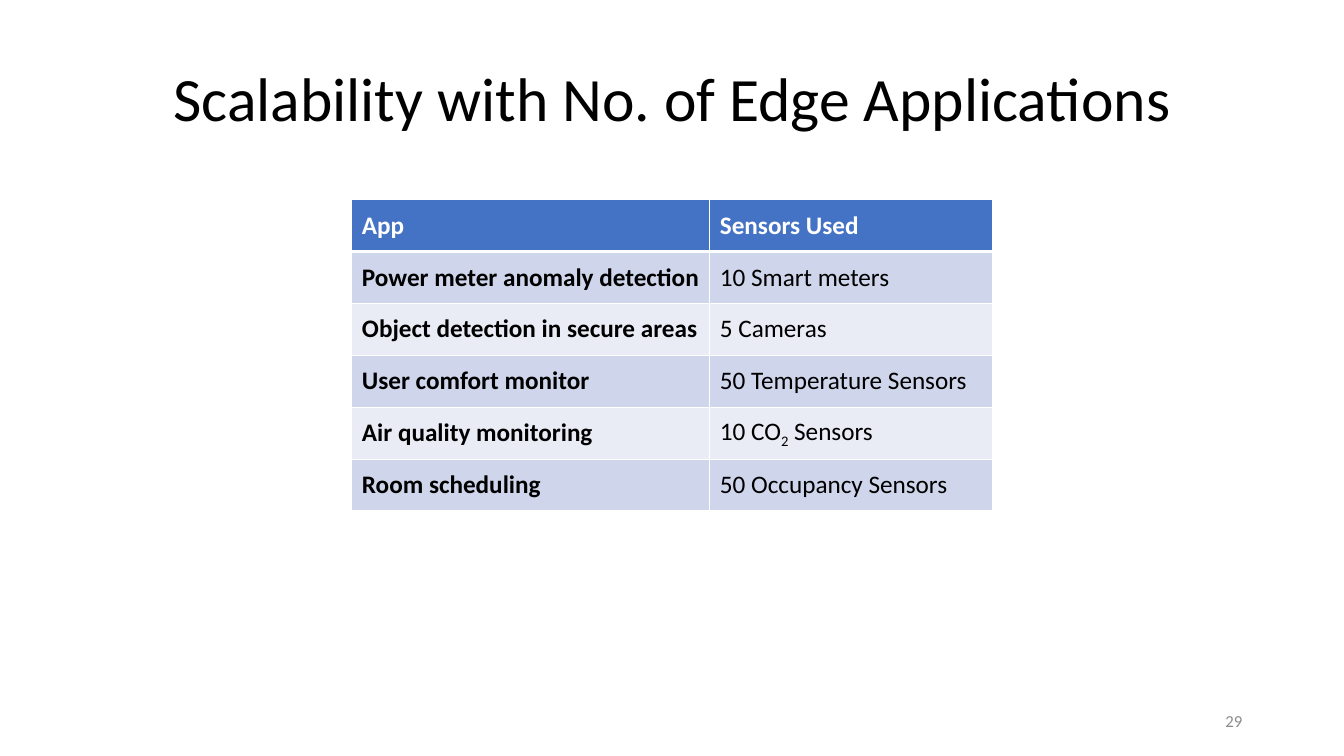
import pptx
import pptx.util
import pptx.dml.color
import pptx.enum.text
import pptx.oxml
import pptx.oxml.ns

Inches = pptx.util.Inches
Pt = pptx.util.Pt
RGBColor = pptx.dml.color.RGBColor
PP_ALIGN = pptx.enum.text.PP_ALIGN
MSO_ANCHOR = pptx.enum.text.MSO_ANCHOR

FONT = "Calibri"
BLACK = RGBColor(0x00, 0x00, 0x00)
WHITE = RGBColor(0xFF, 0xFF, 0xFF)
GRAY = RGBColor(0x8C, 0x8C, 0x8C)
HEADER_BLUE = RGBColor(0x44, 0x72, 0xC4)
BAND_DARK = RGBColor(0xCF, 0xD5, 0xEA)
BAND_LIGHT = RGBColor(0xE9, 0xEB, 0xF5)

COLUMN_WIDTHS = [3.55, 2.8]
ROW_HEIGHT = 0.515
ROWS = [
    (["App"], ["Sensors Used"]),
    (["Power meter anomaly detection"], ["10 Smart meters"]),
    (["Object detection in secure areas"], ["5 Cameras"]),
    (["User comfort monitor"], ["50 Temperature Sensors"]),
    (["Air quality monitoring"], ["10 CO", "2", " Sensors"]),
    (["Room scheduling"], ["50 Occupancy Sensors"]),
]


def add_run(p, text, size, color, bold=False):
    r = p.add_run()
    r.text = text
    r.font.name = FONT
    r.font.size = Pt(size)
    r.font.bold = bold
    r.font.color.rgb = color
    return r


def add_title(slide, text):
    sp = slide.shapes.title
    sp.left, sp.top = Inches(0.92), Inches(0.28)
    sp.width, sp.height = Inches(11.5), Inches(1.45)
    tf = sp.text_frame
    tf.vertical_anchor = MSO_ANCHOR.MIDDLE
    p = tf.paragraphs[0]
    p.alignment = PP_ALIGN.CENTER
    p.line_spacing = 0.9
    add_run(p, text, 44, BLACK)


def set_border(cell, side, width):
    ln = pptx.oxml.parse_xml(
        f'<a:ln{side} {pptx.oxml.ns.nsdecls("a")} w="{Pt(width)}">'
        f'<a:solidFill><a:srgbClr val="{WHITE}"/></a:solidFill></a:ln{side}>'
    )
    cell._tc.get_or_add_tcPr().append(ln)


def format_cell(cell, row, col, texts):
    header = row == 0
    widths = {"L": 1, "R": 1, "T": 3 if row == 1 else 1, "B": 3 if header else 1}
    for side, width in widths.items():
        set_border(cell, side, width)
    cell.fill.solid()
    band = BAND_DARK if row % 2 else BAND_LIGHT
    cell.fill.fore_color.rgb = HEADER_BLUE if header else band
    cell.vertical_anchor = MSO_ANCHOR.MIDDLE
    p = cell.text_frame.paragraphs[0]
    for i, text in enumerate(texts):
        r = add_run(p, text, 18, WHITE if header else BLACK, header or col == 0)
        if i == 1:
            r.font._element.set("baseline", "-25000")


def add_sensor_table(slide):
    table = slide.shapes.add_table(
        len(ROWS), len(COLUMN_WIDTHS), Inches(3.49), Inches(1.98),
        Inches(sum(COLUMN_WIDTHS)), Inches(ROW_HEIGHT * len(ROWS)),
    ).table
    for col, width in enumerate(COLUMN_WIDTHS):
        table.columns[col].width = Inches(width)
    for row, cells in enumerate(ROWS):
        table.rows[row].height = Inches(ROW_HEIGHT)
        for col, texts in enumerate(cells):
            format_cell(table.cell(row, col), row, col, texts)


def add_page_number(slide, number):
    sp = slide.shapes.add_textbox(Inches(9.42), Inches(6.95), Inches(3), Inches(0.4))
    tf = sp.text_frame
    tf.word_wrap = True
    tf.vertical_anchor = MSO_ANCHOR.MIDDLE
    p = tf.paragraphs[0]
    p.alignment = PP_ALIGN.RIGHT
    add_run(p, number, 12, GRAY)


def main():
    prs = pptx.Presentation()
    prs.slide_width, prs.slide_height = Inches(13.33), Inches(7.5)
    slide = prs.slides.add_slide(prs.slide_layouts[5])
    add_title(slide, "Scalability with No. of Edge Applications")
    add_sensor_table(slide)
    add_page_number(slide, "29")
    prs.save("out.pptx")


if __name__ == "__main__":
    main()
